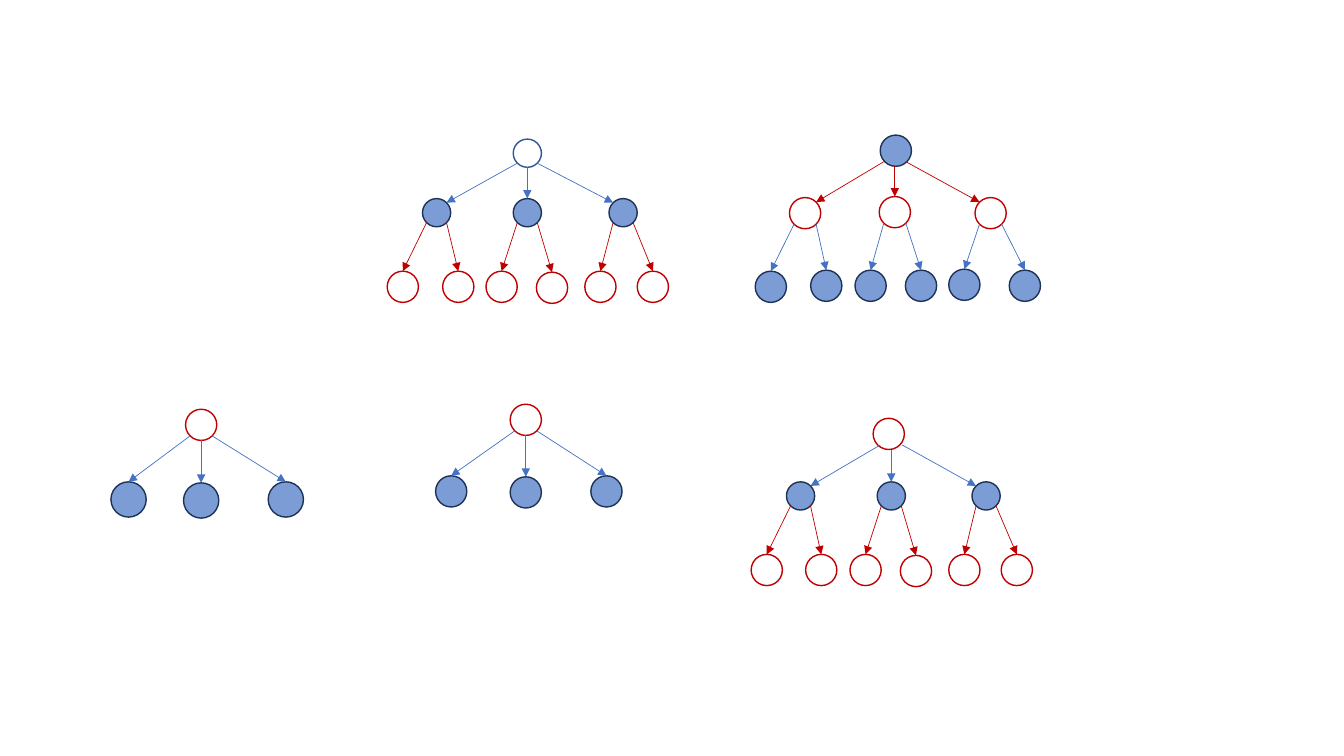
from math import sqrt

from lxml import etree
from pptx import Presentation
from pptx.dml.color import RGBColor
from pptx.enum.shapes import MSO_CONNECTOR, MSO_SHAPE
from pptx.oxml.ns import qn
from pptx.util import Inches, Pt

ELLIPSE = MSO_SHAPE.OVAL
STRAIGHT = MSO_CONNECTOR.STRAIGHT
BLUE, NAVY, RED, STEEL = "4472C4", "1E3256", "C00000", "2F5597"
SMALL, MEDIUM, LARGE = 0.28, 0.31, 0.35

prs = Presentation()
prs.slide_width = Inches(13.33)
prs.slide_height = Inches(7.5)
slide = prs.slides.add_slide(prs.slide_layouts[6])


def add_node(shapes, left, top, size, outline):
    node = shapes.add_shape(ELLIPSE, Inches(left), Inches(top), Inches(size), Inches(size))
    node.shadow.inherit = False
    node.line.color.rgb = RGBColor.from_string(outline)
    node.line.width = Pt(1)
    if outline == NAVY:
        node.fill.solid()
        node.fill.fore_color.rgb = RGBColor.from_string(BLUE)
        color = node.fill._xPr.find(qn("a:solidFill"))[0]
        etree.SubElement(color, qn("a:alpha"), val="70000")
    else:
        node.fill.background()


def add_arrow(shapes, x1, y1, x2, y2, color):
    arrow = shapes.add_connector(STRAIGHT, Inches(x1), Inches(y1), Inches(x2), Inches(y2))
    arrow.line.color.rgb = RGBColor.from_string(color)
    arrow.line.width = Pt(0.5)
    etree.SubElement(arrow.line._get_or_add_ln(), qn("a:tailEnd"), type="triangle")
    etree.SubElement(arrow._element.spPr, qn("a:effectLst"))


trees = [
    {
        "grouped": False,
        "root": (5.09, 1.38), "root_style": (SMALL, STEEL),
        "children": [(4.19, 1.97), (5.09, 1.97), (6.04, 1.97)], "child_style": (SMALL, NAVY),
        "leaves": [(3.84, 2.69), (4.39, 2.69), (4.82, 2.69), (5.32, 2.7), (5.8, 2.69), (6.32, 2.69)],
        "leaf_style": (MEDIUM, RED),
    },
    {
        "grouped": False,
        "root": (8.73, 1.34), "root_style": (MEDIUM, NAVY),
        "children": [(7.83, 1.96), (8.72, 1.95), (9.67, 1.96)], "child_style": (MEDIUM, RED),
        "leaves": [(7.49, 2.69), (8.04, 2.68), (8.48, 2.68), (8.98, 2.68), (9.41, 2.67), (10.01, 2.68)],
        "leaf_style": (MEDIUM, NAVY),
    },
    {
        "grouped": True,
        "root": (5.06, 4.01), "root_style": (MEDIUM, RED),
        "children": [(4.32, 4.72), (5.06, 4.73), (5.86, 4.72)], "child_style": (MEDIUM, NAVY),
        "leaves": [], "leaf_style": None,
    },
    {
        "grouped": True,
        "root": (8.66, 4.15), "root_style": (MEDIUM, RED),
        "children": [(7.8, 4.78), (8.7, 4.78), (9.64, 4.78)], "child_style": (SMALL, NAVY),
        "leaves": [(7.45, 5.5), (7.99, 5.5), (8.43, 5.5), (8.93, 5.51), (9.41, 5.5), (9.93, 5.5)],
        "leaf_style": (MEDIUM, RED),
    },
    {
        "grouped": True,
        "root": (1.84, 4.06), "root_style": (MEDIUM, RED),
        "children": [(1.1, 4.78), (1.82, 4.79), (2.66, 4.78)], "child_style": (LARGE, NAVY),
        "leaves": [], "leaf_style": None,
    },
]

for tree in trees:
    shapes = slide.shapes.add_group_shape().shapes if tree["grouped"] else slide.shapes
    root_size, root_outline = tree["root_style"]
    child_size, child_outline = tree["child_style"]
    root_radius, child_radius = root_size / 2, child_size / 2
    root_diagonal, child_diagonal = root_radius / sqrt(2), child_radius / sqrt(2)
    hub_x = tree["children"][1][0] + child_radius
    hub_y = tree["root"][1] + root_radius

    add_node(shapes, *tree["root"], root_size, root_outline)
    for side, (left, top) in zip((-1, 0, 1), tree["children"]):
        add_node(shapes, left, top, child_size, child_outline)
        start_y = hub_y + (root_diagonal if side else root_radius)
        end_x, end_y = left + child_radius, top
        if side and tree["leaves"]:
            end_x -= side * child_diagonal
            end_y += child_radius - child_diagonal
        branch_color = RED if child_outline == RED else BLUE
        add_arrow(shapes, hub_x + side * root_diagonal, start_y, end_x, end_y, branch_color)

    for index, (left, top) in enumerate(tree["leaves"]):
        leaf_size, leaf_outline = tree["leaf_style"]
        add_node(shapes, left, top, leaf_size, leaf_outline)
        parent_left, parent_top = tree["children"][index // 2]
        side = 1 if index % 2 else -1
        start_x = parent_left + child_radius + side * child_diagonal
        start_y = parent_top + child_radius + child_diagonal
        leaf_color = RED if leaf_outline == RED else BLUE
        add_arrow(shapes, start_x, start_y, left + leaf_size / 2, top, leaf_color)

prs.save("out.pptx")
